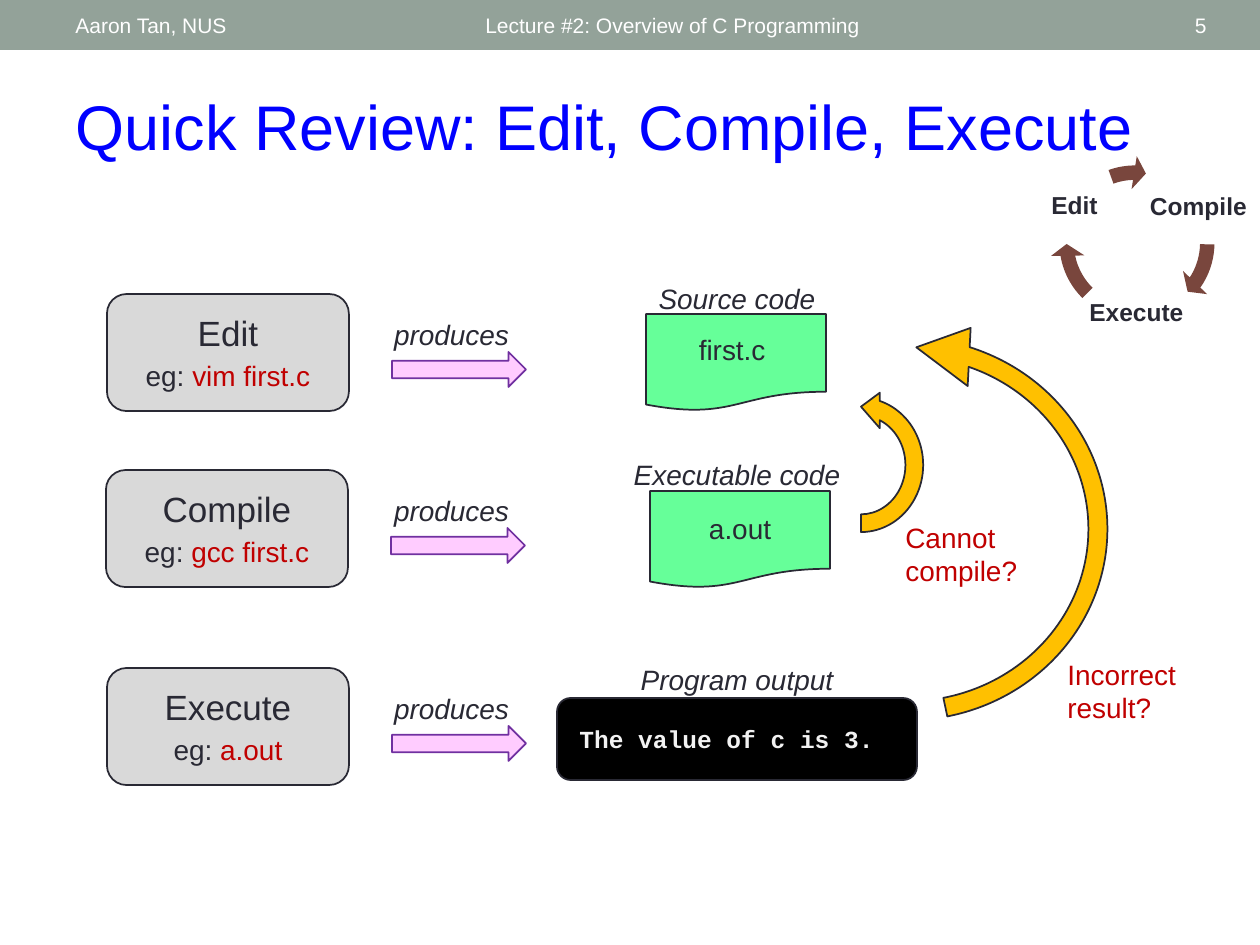
"""Build the edit, compile, execute review slide."""
from pptx import Presentation
from pptx.dml.color import RGBColor
from pptx.enum.shapes import MSO_SHAPE
from pptx.enum.text import MSO_ANCHOR, MSO_AUTO_SIZE, PP_ALIGN
from pptx.util import Emu, Pt

PX = 914400 / 126
INK, RED, WHITE = "292934", "C00000", "FFFFFF"
LEFT, CENTER, RIGHT = PP_ALIGN.LEFT, PP_ALIGN.CENTER, PP_ALIGN.RIGHT

TITLE = "Quick Review: Edit, Compile, Execute"
HEADER = [
    ("Lecture #2: Overview of C Programming", 473, 567, LEFT),
    ("Aaron Tan, NUS", 63, 399, LEFT),
    ("5", 1099, 120, RIGHT),
]
CYCLE = [
    ("Compile", (1147, 171, 103, 73), 1050, (0.083, 5.762, 20.56, 0.671, 0.096)),
    ("Execute", (1086, 277, 101, 73), 1050, (0.083, 5.762, 101.752, 80.836, 0.096)),
    ("Edit", (1038, 170, 73, 73), 1048, (0.083, 5.762, 161.63, 150.076, 0.096)),
]
STEPS = [
    ("Edit", "vim first.c", 107, 294),
    ("Compile", "gcc first.c", 106, 470),
    ("Execute", "a.out", 107, 668),
]
DOCUMENTS = [
    ("Source code", (636, 275, 202, 46), "first.c ", (646, 314), 326),
    ("Executable code", (616, 451, 242, 46), "a.out", (650, 491), 505),
]
OUTPUT_CAPTION, OUTPUT = "Program output", "The value of c is 3."
LOOPS = [
    ("Incorrect result?", (1055, 651, 144, 81), (696, 309, 422, 440),
     (0.045, 10.16, 204.082, 115.282, 0.069)),
    ("Cannot compile?", (893, 514, 141, 81), (785, 394, 152, 142), ()),
]


def color(value):
    return RGBColor.from_string(value)


def frame(box):
    return [Emu(round(v * PX)) for v in box]


def add_shape(slide, kind, box, fill, line=None, adjust=()):
    shape = slide.shapes.add_shape(kind, *frame(box))
    shape.shadow.inherit = False
    shape.fill.solid()
    shape.fill.fore_color.rgb = color(fill)
    if line:
        shape.line.color.rgb = color(line)
        shape.line.width = Pt(1)
    else:
        shape.line.fill.background()
    for index, value in enumerate(adjust):
        shape.adjustments[index] = value
    return shape


def style(run, size, ink, font="Arial", bold=False, italic=False):
    run.font.name, run.font.size = font, Pt(size)
    run.font.bold, run.font.italic = bold, italic
    run.font.color.rgb = color(ink)


def add_text(slide, box, pieces, size, align=CENTER, anchor=MSO_ANCHOR.TOP, **look):
    text = slide.shapes.add_textbox(*frame(box)).text_frame
    text.word_wrap = True
    text.vertical_anchor = anchor
    paragraph = text.paragraphs[0]
    paragraph.alignment = align
    for words, ink in pieces:
        run = paragraph.add_run()
        run.text = words
        style(run, size, ink, **look)
    return text


def add_header(slide):
    add_shape(slide, MSO_SHAPE.RECTANGLE, (0, 0, 1260, 50), "93A299")
    for words, left, width, align in HEADER:
        add_text(slide, (left, 3, width, 45), [(words, WHITE)], 12, align, MSO_ANCHOR.MIDDLE)


def add_title(slide):
    title = slide.shapes.title
    title.left, title.top, title.width, title.height = frame((63, 81, 1134, 89))
    text = title.text_frame
    text.text = TITLE
    text.auto_size = MSO_AUTO_SIZE.NONE
    text.vertical_anchor = MSO_ANCHOR.TOP
    text.paragraphs[0].alignment = LEFT
    style(text.paragraphs[0].runs[0], 36, "0000FF")


def add_cycle(slide):
    for label, box, arrow_left, adjust in CYCLE:
        text = add_text(slide, box, [(label, INK)], 14, anchor=MSO_ANCHOR.MIDDLE, bold=True)
        text.margin_left = text.margin_right = Pt(1.5)
        text.margin_top = text.margin_bottom = Pt(1.5)
        text.paragraphs[0].line_spacing = 0.9
        add_shape(slide, MSO_SHAPE.CIRCULAR_ARROW, (arrow_left, 156, 174, 174), "79463D",
                  adjust=adjust)


def add_steps(slide):
    for step, command, left, top in STEPS:
        add_shape(slide, MSO_SHAPE.ROUNDED_RECTANGLE, (left, top, 242, 117), "D9D9D9", INK)
        add_text(slide, (left, top + 11, 242, 55), [(step, INK)], 20)
        add_text(slide, (left, top + 58, 242, 46), [("eg: ", INK), (command, RED)], 16)
        add_shape(slide, MSO_SHAPE.RIGHT_ARROW, (left + 285, top + 58, 134, 35),
                  "FFCCFF", "7030A0")
        add_text(slide, (378, top + 17, 147, 46), [("produces", INK)], 16, italic=True)


def add_results(slide):
    for caption, caption_box, file_name, (left, top), name_top in DOCUMENTS:
        add_shape(slide, MSO_SHAPE.FLOWCHART_DOCUMENT, (left, top, 180, 97), "66FF99", INK)
        add_text(slide, caption_box, [(caption, INK)], 16, italic=True)
        add_text(slide, (left, name_top, 180, 46), [(file_name, INK)], 16)
    add_shape(slide, MSO_SHAPE.ROUNDED_RECTANGLE, (557, 698, 360, 82), "000000", INK)
    add_text(slide, (567, 718, 339, 43), [(OUTPUT, "F2F2F2")], 14, LEFT,
             font="Courier New", bold=True)
    add_text(slide, (616, 656, 242, 46), [(OUTPUT_CAPTION, INK)], 16, italic=True)


def add_loops(slide):
    for question, question_box, arrow_box, adjust in LOOPS:
        arrow = add_shape(slide, MSO_SHAPE.CIRCULAR_ARROW, arrow_box, "FFC000", INK, adjust)
        arrow.rotation = 270
        arrow._element.spPr.xfrm.set("flipV", "1")
        add_text(slide, question_box, [(question, RED)], 16, LEFT)


def main():
    deck = Presentation()
    deck.slide_width, deck.slide_height = frame((1260, 945))
    slide = deck.slides.add_slide(deck.slide_layouts[5])
    for add_part in (add_header, add_title, add_cycle, add_steps, add_results, add_loops):
        add_part(slide)
    deck.save("out.pptx")


if __name__ == "__main__":
    main()
